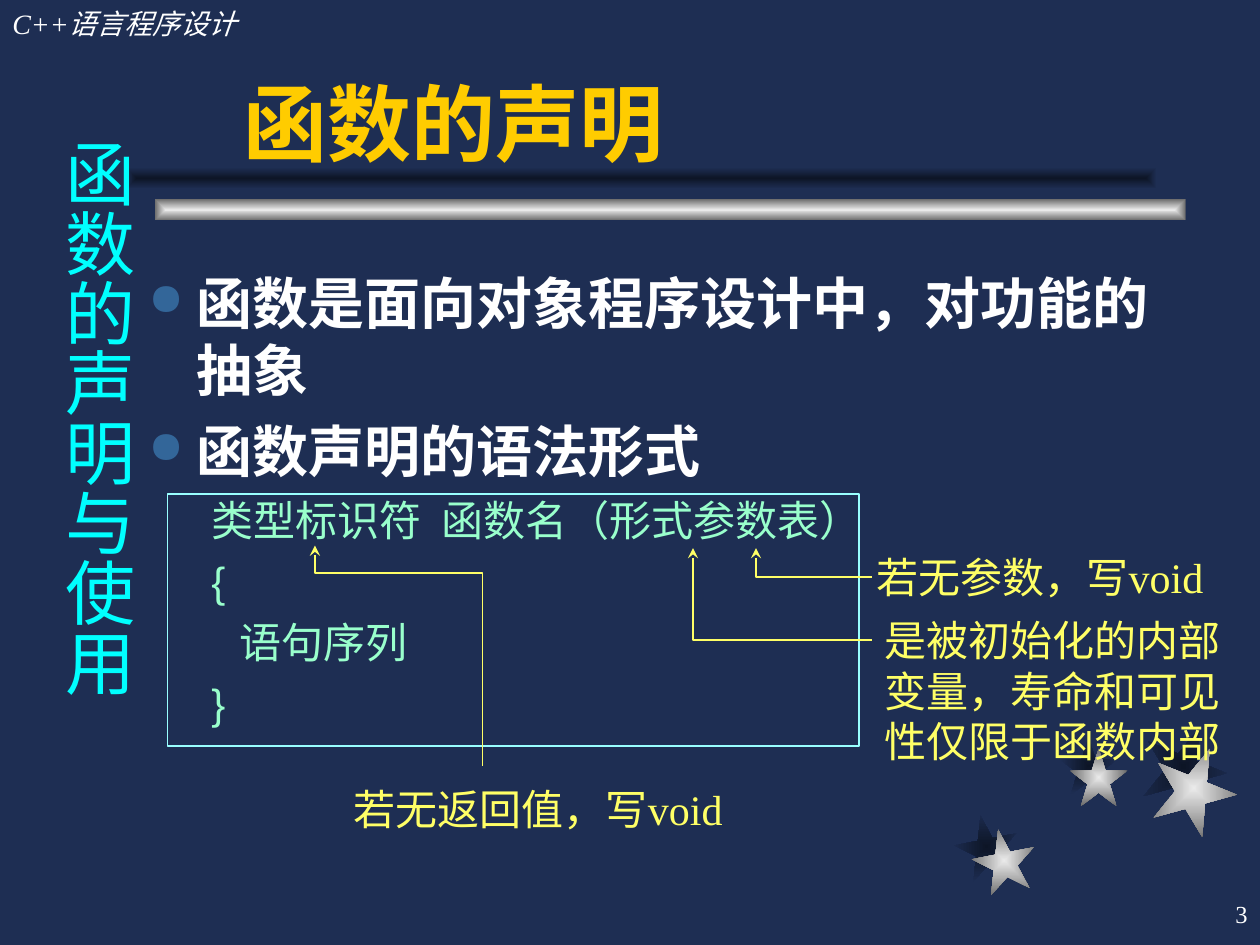
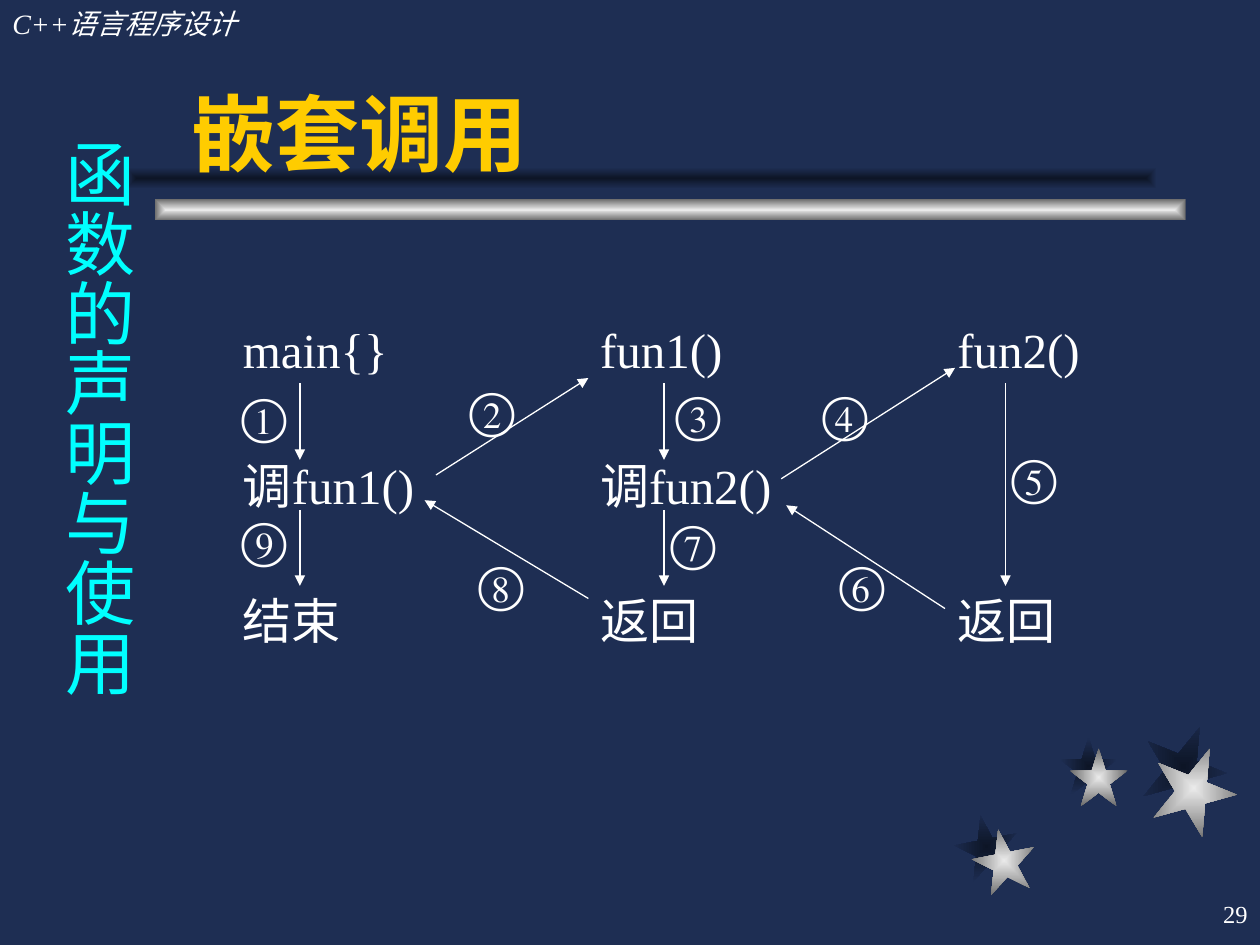
from lxml import etree
from pptx import Presentation
from pptx.dml.color import RGBColor
from pptx.enum import shapes, text
from pptx.oxml import ns
from pptx import util as u

COLOURS = {
    "navy": "1E2E53", "shade": "0D1526", "silver": "EAEAEA", "grey": "6B6B6B",
    "gold": "FFCC00", "white": "FFFFFF", "cyan": "00FFFF", "bullet": "336699",
    "mint": "99FFCC", "frame": "99FFFF", "yellow": "FFFF66",
}
SERIF, SANS = "Times New Roman", "Arial"
LOOKS = {
    "title": ("gold", {"name": SANS, "size": u.Pt(48), "bold": True}),
    "header": ("white", {"name": SERIF, "size": u.Pt(16), "italic": True}),
    "chapter": ("cyan", {"name": SERIF, "size": u.Pt(40)}),
    "number": ("white", {"name": SERIF, "size": u.Pt(14)}),
    "point": ("white", {"name": SANS, "size": u.Pt(32), "bold": True}),
    "code": ("mint", {"name": SANS, "size": u.Pt(24), "bold": False}),
    "note": ("yellow", {"name": SERIF, "size": u.Pt(24)}),
    "call": ("white", {"name": SERIF, "size": u.Pt(28)}),
}
PADDING = (0.1, 0.05, 0.1, 0.05)
CALL_LINE = 38.6


def colour(name):
    """Return a palette entry as an RGB colour."""
    return RGBColor.from_string(COLOURS[name])


def assign(target, values):
    """Set each named attribute on the target."""
    for name, value in values.items():
        setattr(target, name, value)


def add_child(parent, tag, **attributes):
    """Append a DrawingML element and return it."""
    child = etree.SubElement(parent, ns.qn("a:" + tag))
    for name, value in attributes.items():
        child.set(name, str(value))
    return child


def inside(box, left, top, width, height):
    """Turn offsets within a box into a box on the page."""
    return box[0] + left, box[1] + top, width, height


def place(shape, box):
    """Move and size a shape."""
    names = ("left", "top", "width", "height")
    assign(shape, {name: u.Inches(value) for name, value in zip(names, box)})


def set_frame(frame, padding=PADDING, **values):
    """Set the margins and layout of a text frame."""
    names = ("margin_left", "margin_top", "margin_right", "margin_bottom")
    margins = {name: u.Inches(value) for name, value in zip(names, padding)}
    defaults = {"word_wrap": True, "auto_size": text.MSO_AUTO_SIZE.NONE}
    assign(frame, {**defaults, **margins, **values})


def write(para, words, look, **values):
    """Add a styled span to a paragraph and format the paragraph."""
    span = para.add_run()
    span.text = words
    name, font = LOOKS[look]
    assign(span.font, font)
    span.font.color.rgb = colour(name)
    assign(para, values)
    return span


def add_label(page, box, words, look, padding=PADDING, align=None, **values):
    """Add a text box with one paragraph."""
    label = page.shapes.add_textbox(*map(u.Inches, box))
    set_frame(label.text_frame, padding, **values)
    write(label.text_frame.paragraphs[0], words, look, alignment=align)
    return label


def add_gradient(page, kind, box, inner, outer, turn=0):
    """Add a preset shape shaded from its centre outward."""
    shape = page.shapes.add_shape(kind, *map(u.Inches, box))
    assign(shape, {"rotation": turn})
    shape.shadow.inherit = False
    shape.line.fill.background()
    shape.fill.gradient()
    for stop, name in zip(shape.fill.gradient_stops, (inner, outer)):
        stop.color.rgb = colour(name)
    gradient = shape.element.spPr.find(ns.qn("a:gradFill"))
    gradient.remove(gradient.find(ns.qn("a:lin")))
    centre = add_child(gradient, "path", path="rect")
    add_child(centre, "fillToRect", l=50000, t=50000, r=50000, b=50000)


def set_line(shape, name, width, end=None, head=None):
    """Style an outline and add an optional arrowhead."""
    shape.line.color.rgb = colour(name)
    shape.line.width = u.Pt(width)
    if end:
        add_child(shape.line._get_or_add_ln(), end, type=head)


def add_stars(page, box):
    """Draw three stars over their shadows."""
    stars = {
        "shade": ((0, 0.72, 0.5, 349), (0.83, 0.1, 0.46, 0), (1.48, 0, 0.67, 22)),
        "silver": ((0.14, 0.83, 0.5, 349), (0.91, 0.19, 0.46, 0), (1.56, 0.17, 0.67, 22)),
    }
    for inner, outer in (("shade", "navy"), ("silver", "grey")):
        for left, top, size, turn in stars[inner]:
            add_gradient(page, shapes.MSO_SHAPE.STAR_5_POINT,
                         inside(box, left, top, size, size), inner, outer, turn)


def add_bands(page, box):
    """Draw the silver band and its shadow under the title."""
    for left, top, inner, outer in ((0.23, 0.25, "silver", "grey"), (0, 0, "shade", "navy")):
        add_gradient(page, shapes.MSO_SHAPE.RECTANGLE,
                     inside(box, left, top, 8.18, 0.17), inner, outer)


def add_page(deck, heading, title_box, number):
    """Add a page with the shared decoration, title, chapter name and number."""
    page = deck.slides.add_slide(deck.slide_layouts[5])
    add_stars(page, (7.58, 5.75))
    add_bands(page, (1, 1.33))
    add_label(page, (0, 0, 3.08, 0.37), "C++语言程序设计", "header")
    title = page.shapes.title
    page.shapes.element.append(title.element)
    place(title, title_box)
    set_frame(title.text_frame, vertical_anchor=text.MSO_ANCHOR.BOTTOM)
    write(title.text_frame.paragraphs[0], heading, "title", alignment=text.PP_ALIGN.LEFT)
    chapter = add_label(page, (0.3, 1, 0.86, 5.42), "函数的声明与使用", "chapter",
                        (0.05, 0.1, 0.05, 0.1), text.PP_ALIGN.CENTER)
    chapter.text_frame._txBody.bodyPr.set("vert", "eaVert")
    add_label(page, (7.92, 7, 2.08, 0.5), str(number), "number",
              align=text.PP_ALIGN.RIGHT, vertical_anchor=text.MSO_ANCHOR.MIDDLE)
    return page


def indent(para, margin, first):
    """Set the left margin and first-line indent and return the properties."""
    properties = para._p.get_or_add_pPr()
    properties.set("marL", str(u.Inches(margin)))
    properties.set("indent", str(u.Inches(first)))
    return properties


def add_syntax_text(page, box):
    """Write the bulleted points and the declaration form."""
    frame = page.shapes.add_textbox(*map(u.Inches, box)).text_frame
    set_frame(frame)
    para = frame.paragraphs[0]
    for words in ("函数是面向对象程序设计中，对功能的抽象", "函数声明的语法形式"):
        write(para, words, "point", space_before=u.Pt(8))
        properties = indent(para, 0.38, -0.38)
        add_child(add_child(properties, "buClr"), "srgbClr", val=COLOURS["bullet"])
        add_child(properties, "buSzPct", val=80000)
        add_child(properties, "buChar", char="●")
        para = frame.add_paragraph()
    write(para, "类型标识符", "code", space_before=u.Pt(6))
    gap = write(para, " ", "code")
    gap._r.get_or_add_rPr().set("spc", "600")
    write(para, "函数名（形式参数表）", "code")
    indent(para, 0.81, -0.31)
    for words, margin in (("{", 0.81), ("语句序列", 1.03), ("}", 0.81)):
        para = frame.add_paragraph()
        write(para, words, "code", space_before=u.Pt(6))
        indent(para, margin, -0.31)


def add_bent_arrow(page, box, points):
    """Draw a bent line with its arrowhead at the first point."""
    corners = [(u.Inches(box[0] + x), u.Inches(box[1] + y)) for x, y in points]
    builder = page.shapes.build_freeform(*corners[0])
    builder.add_line_segments(corners[1:], close=False)
    arrow = builder.convert_to_shape()
    arrow.shadow.inherit = False
    arrow.fill.background()
    set_line(arrow, "yellow", 1, "headEnd", "stealth")


def add_syntax(page, box):
    """Show the declaration form with its notes."""
    add_syntax_text(page, box)
    outline = page.shapes.add_shape(shapes.MSO_SHAPE.RECTANGLE,
                                    *map(u.Inches, inside(box, 0.25, 1.84, 5.49, 2)))
    outline.shadow.inherit = False
    outline.fill.background()
    set_line(outline, "frame", 1)
    notes = (
        ("若无参数，写void", (5.78, 2.25, 2.87, 0.5), False,
         ((4.92, 2.27), (4.92, 2.5), (5.84, 2.5))),
        ("是被初始化的内部变量，寿命和可见性仅限于函数内部", (5.84, 2.75, 3, 1.3), True,
         ((4.42, 2.27), (4.42, 3), (5.84, 3))),
        ("若无返回值，写void", (1.63, 4.09, 3.21, 0.5), False,
         ((1.42, 2.25), (1.42, 2.47), (2.75, 2.47), (2.75, 4))),
    )
    for words, note_box, wrap, points in notes:
        add_bent_arrow(page, box, points)
        add_label(page, inside(box, *note_box), words, "note", word_wrap=wrap)


def add_call_column(page, box, steps):
    """Write one function's steps, each on its numbered line."""
    frame = page.shapes.add_textbox(*map(u.Inches, box)).text_frame
    set_frame(frame)
    previous = -1
    for index, (line, words) in enumerate(steps):
        para = frame.add_paragraph() if index else frame.paragraphs[0]
        skipped = line - previous - 1
        write(para, words, "call", line_spacing=1.15, alignment=text.PP_ALIGN.JUSTIFY,
              space_before=u.Pt(skipped * CALL_LINE))
        previous = line


def add_call_arrow(page, box, ends):
    """Draw a straight arrow between two points of the box."""
    x1, y1, x2, y2 = ends
    points = (box[0] + x1, box[1] + y1, box[0] + x2, box[1] + y2)
    arrow = page.shapes.add_connector(shapes.MSO_CONNECTOR.STRAIGHT, *map(u.Inches, points))
    set_line(arrow, "white", 0.75, "tailEnd", "triangle")
    add_child(arrow.element.spPr, "effectLst")


def add_nested_calls(page, box):
    """Show the order of nested calls across three functions."""
    columns = (
        ((0, "main{}"), (2, "调fun1()"), (4, "结束")),
        ((0, "fun1()"), (2, "调fun2()"), (4, "返回")),
        ((0, "fun2()"), (4, "返回")),
    )
    for index, steps in enumerate(columns):
        add_call_column(page, inside(box, index * 2.835, 0, 1.83, 2.83), steps)
    moves = (
        ("①", (0.09, 0.64), (0.55, 0.62, 0.55, 1.23)),
        ("②", (1.9, 0.59), (1.63, 1.35, 2.84, 0.58)),
        ("③", (3.53, 0.62), (3.44, 0.62, 3.44, 1.23)),
        ("④", (4.7, 0.62), (4.37, 1.38, 5.75, 0.5)),
        ("⑤", (6.2, 1.12), (6.15, 0.62, 6.15, 2.23)),
        ("⑥", (4.83, 1.97), (5.67, 2.41, 4.41, 1.59)),
        ("⑦", (3.49, 1.65), (3.44, 1.63, 3.44, 2.23)),
        ("⑧", (1.97, 1.97), (2.84, 2.33, 1.54, 1.55)),
        ("⑨", (0.09, 1.62), (0.55, 1.63, 0.55, 2.23)),
    )
    for mark, corner, ends in moves:
        add_call_arrow(page, box, ends)
        add_label(page, inside(box, *corner, 0.33, 0.4), mark, "call", (0, 0, 0, 0),
                  text.PP_ALIGN.JUSTIFY)


def main():
    """Build and save the deck."""
    deck = Presentation()
    assign(deck, {"slide_width": u.Inches(10), "slide_height": u.Inches(7.5)})
    backdrop = deck.slide_master.background.fill
    backdrop.solid()
    backdrop.fore_color.rgb = colour("navy")
    add_syntax(add_page(deck, "函数的声明", (1.83, 0.25, 7.42, 1.17), 3),
               (1.08, 2.08, 8.42, 4.67))
    add_nested_calls(add_page(deck, "嵌套调用", (1.42, 0.25, 7.83, 1.25), 29),
                     (1.83, 2.42))
    deck.save("out.pptx")


if __name__ == "__main__":
    main()
